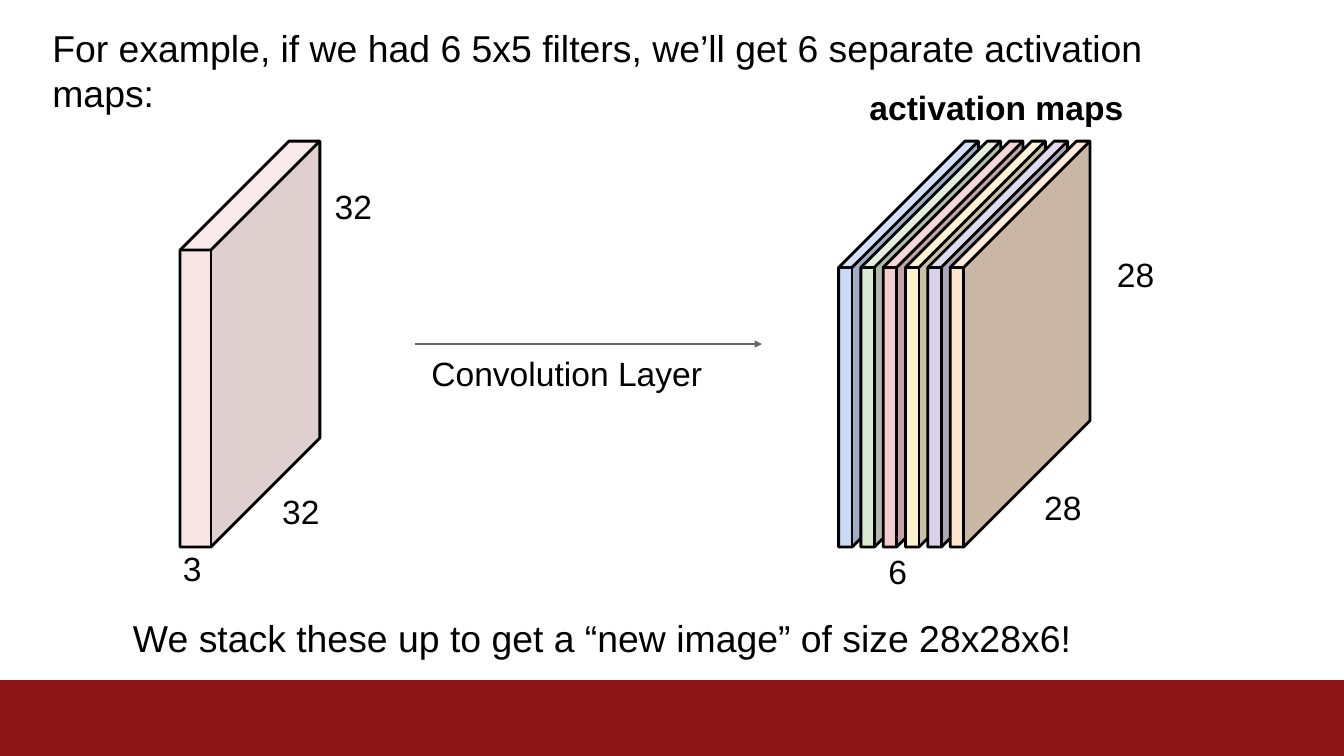
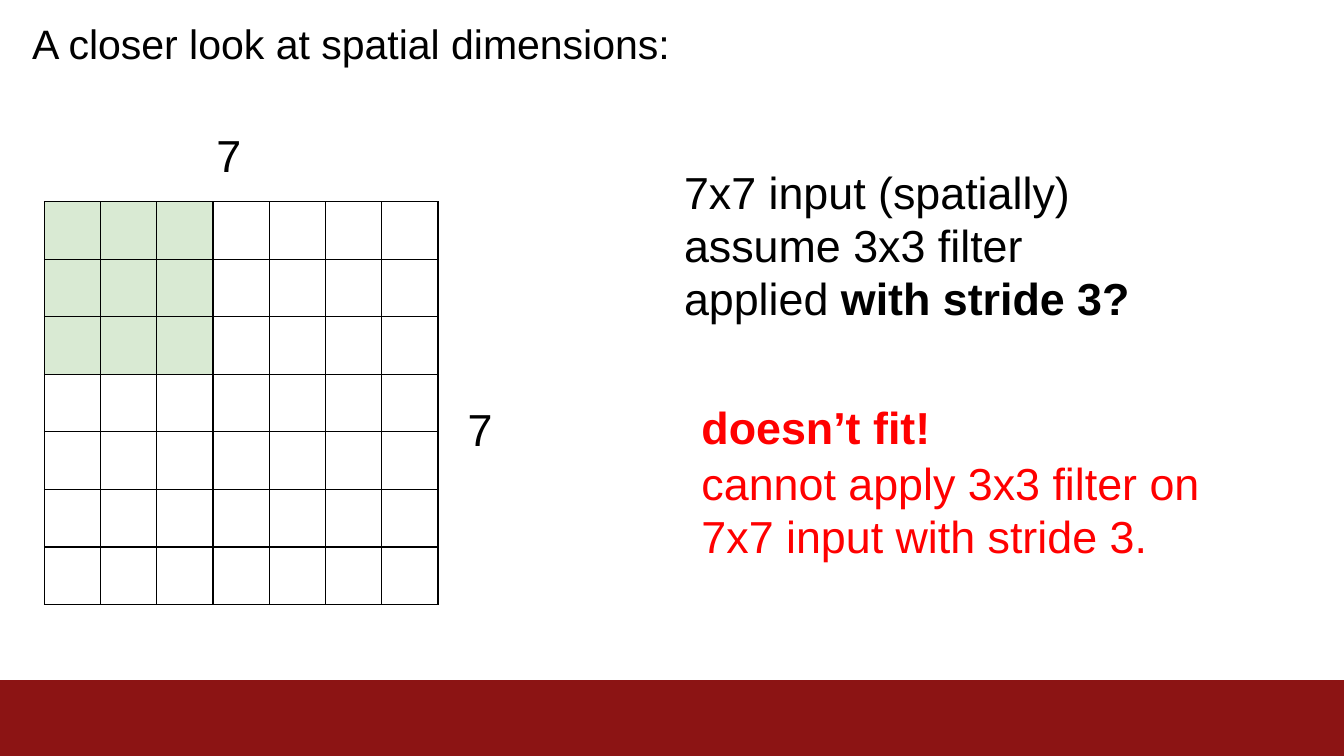
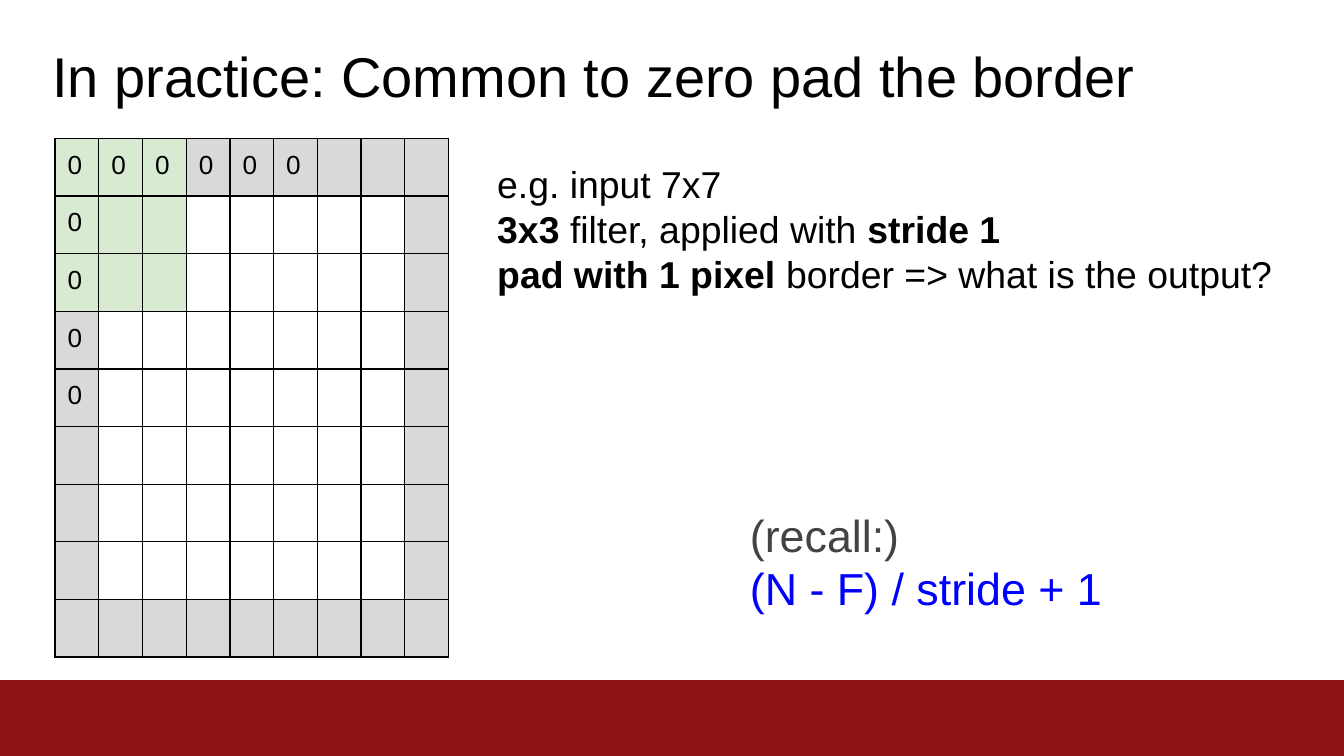
from lxml.etree import SubElement
from pptx import Presentation
from pptx.dml.color import RGBColor
from pptx.enum.shapes import MSO_CONNECTOR, MSO_SHAPE
from pptx.enum.text import PP_ALIGN
from pptx.oxml.ns import qn
from pptx.util import Inches, Pt

HUES = {
    "band": "8C1414", "ink": "000000", "arrow": "666666", "warn": "FF0000",
    "note": "434343", "sum": "0000FF", "scan": "D9EAD3", "pad": "D9D9D9",
    "blue": "C9DAF7", "green": "D9EAD3", "pink": "F4CCCC",
    "gold": "FFF1CC", "mauve": "D9D1E9", "peach": "FCE4CD",
}
FONT = "Arial"
MAPS = ["blue", "green", "pink", "gold", "mauve", "peach"]


def color(name):
    return RGBColor.from_string(HUES[name])


def blend(rgb, goal, part):
    """Move each channel of rgb towards goal by the given part."""
    return RGBColor(*(int(c + (goal - c) * part) for c in rgb))


def write(frame, words, size=18, hue="ink", bold=False, line=None, gap=None,
          align=None):
    """Fill a frame, one paragraph a line; ** switches bold, hue may be a list."""
    lines = words.split("\n")
    hues = hue if isinstance(hue, list) else [hue] * len(lines)
    for i, (row, tint) in enumerate(zip(lines, hues)):
        para = frame.add_paragraph() if i else frame.paragraphs[0]
        para.alignment = align
        if line:
            para.line_spacing = Pt(line)
        if gap and i:
            para.space_before = Pt(gap)
        for j, part in enumerate(row.split("**")):
            if part:
                run = para.add_run()
                run.text = part
                font = run.font
                font.name, font.size = FONT, Pt(size)
                font.bold = bold or j % 2 == 1
                font.color.rgb = color(tint)


def label(slide, x, y, w, h, words, top=0.01, **form):
    box = slide.shapes.add_textbox(Inches(x), Inches(y), Inches(w), Inches(h))
    frame = box.text_frame
    frame.word_wrap = True
    frame.margin_left, frame.margin_top = Inches(0.01), Inches(top)
    frame.margin_right = frame.margin_bottom = 0
    write(frame, words, **form)


def start(deck):
    """Add a blank slide with the band at its foot."""
    slide = deck.slides.add_slide(deck.slide_layouts[6])
    top = Inches(5.06)
    band = slide.shapes.add_shape(MSO_SHAPE.RECTANGLE, 0, top,
                                  deck.slide_width, deck.slide_height - top)
    band.shadow.inherit = False
    band.fill.solid()
    band.fill.fore_color.rgb = color("band")
    band.line.fill.background()
    return slide


def trace(shapes, *runs, fill=None, alpha=None):
    """Draw runs of points as one shape: filled, or else outlined."""
    first, *rest = [[(Inches(x), Inches(y)) for x, y in run] for run in runs]
    pen = shapes.build_freeform(*first[0])
    pen.add_line_segments(first[1:], close=True)
    for run in rest:
        pen.move_to(*run[0])
        pen.add_line_segments(run[1:], close=False)
    shape = pen.convert_to_shape()
    shape.shadow.inherit = False
    if fill is None:
        shape.fill.background()
        shape.line.color.rgb = color("ink")
        shape.line.width = Pt(1.5)
        return
    shape.fill.solid()
    shape.fill.fore_color.rgb = fill
    shape.line.fill.background()
    if alpha:
        tint = shape._element.spPr.find(qn("a:solidFill"))[0]
        SubElement(tint, qn("a:alpha")).set("val", str(alpha * 1000))


def slab(slide, x, y, w, h, thick, hue, alpha=None):
    """Draw a block seen from its left, its depth running up at 45 degrees."""
    shapes = slide.shapes.add_group_shape().shapes
    deep, end, foot = w - thick, x + w, y + h
    a, b = (x, y + deep), (x + thick, y + deep)
    c, d = (x + deep, y), (end, y)
    e, f, g = (end, foot - deep), (x + thick, foot), (x, foot)
    face = color(hue)
    trace(shapes, [a, b, f, g], fill=face, alpha=alpha)
    trace(shapes, [b, d, e, f], fill=blend(face, 0, 0.2), alpha=alpha)
    trace(shapes, [a, c, d, b], fill=blend(face, 255, 0.2), alpha=alpha)
    trace(shapes, [a, c, d, e, f, g], [a, b, d], [b, f])


def arrow(slide, x, y, w):
    link = slide.shapes.add_connector(MSO_CONNECTOR.STRAIGHT, Inches(x),
                                      Inches(y), Inches(x + w), Inches(y))
    link.line.color.rgb = color("arrow")
    link.line.width = Pt(0.75)
    props = link._element.spPr
    SubElement(props.find(qn("a:ln")), qn("a:tailEnd"),
               type="triangle", w="sm", len="sm")
    SubElement(props, qn("a:effectLst"))


def edge(cell):
    """Give a cell thin dark borders, which come before its fill."""
    props = cell._tc.get_or_add_tcPr()
    for i, side in enumerate(("lnL", "lnR", "lnT", "lnB")):
        line = SubElement(props, qn("a:" + side), w=str(Pt(0.75)))
        fill = SubElement(line, qn("a:solidFill"))
        SubElement(fill, qn("a:srgbClr"), val=HUES["ink"])
        props.insert(i, line)


def grid(slide, x, y, w, h, count, pad=False):
    """Draw a square grid with a 3x3 filter, and a padded rim if asked."""
    table = slide.shapes.add_table(count, count, Inches(x), Inches(y),
                                   Inches(w), Inches(h)).table
    table.first_row = table.horz_banding = False
    for col, row in zip(table.columns, table.rows):
        col.width, row.height = Inches(w / count), Inches(h / count)
    for r in range(count):
        for c in range(count):
            cell = table.cell(r, c)
            cell.margin_left = cell.margin_bottom = 0
            cell.margin_top, cell.margin_right = Inches(0.09), Inches(0.03)
            rim = pad and (min(r, c) == 0 or max(r, c) == count - 1)
            hue = "scan" if max(r, c) < 3 else "pad" if rim else None
            if hue:
                cell.fill.solid()
                cell.fill.fore_color.rgb = color(hue)
            else:
                cell.fill.background()
            edge(cell)
            # Zeros run along the start of the top row and left column
            if pad and (r == 0 and c < 6 or c == 0 and r < 5):
                write(cell.text_frame, "0", size=14, align=PP_ALIGN.CENTER)
            else:
                cell.text_frame.paragraphs[0].font.size = Pt(14)


def maps(deck):
    slide = start(deck)
    label(slide, 0.38, 0.17, 8.96, 0.7, "For example, if we had 6 5x5 filters, "
          "we’ll get 6 separate activation maps:", top=0.02, size=20)
    # Input volume
    slab(slide, 1.34, 1.05, 1.04, 3.02, 0.23, "pink", alpha=52)
    for x, y, words in [(2.09, 3.64, "32"), (2.48, 1.37, "32"), (1.35, 4.07, "3"),
                        (6.6, 4.09, "6"), (7.76, 3.61, "28"), (8.3, 1.88, "28")]:
        label(slide, x, y, 0.31, 0.33, words)
    # Layer
    arrow(slide, 3.09, 2.56, 2.58)
    label(slide, 3.2, 2.62, 2.1, 0.33, "Convolution Layer")
    # Stack of maps
    label(slide, 6.46, 0.64, 2, 0.33, "activation maps", bold=True)
    for i, hue in enumerate(MAPS):
        slab(slide, 6.24 + i * 0.83 / 5, 1.05, 1.04, 3.02, 0.1, hue)
    label(slide, 0.98, 4.56, 7.1, 0.36, "We stack these up to get a “new image” "
          "of size 28x28x6!", top=0.02, size=20)


def stride(deck):
    slide = start(deck)
    label(slide, 0.23, 0.13, 4.9, 0.39,
          "A closer look at spatial dimensions:", size=22)
    # Input grid with its sides
    grid(slide, 0.33, 1.5, 2.93, 3, 7)
    label(slide, 1.6, 0.94, 0.21, 0.43, "7", size=24)
    label(slide, 3.47, 2.98, 0.21, 0.43, "7", size=24)
    # Question and answer
    label(slide, 5.08, 1.2, 3.4, 1.22, "7x7 input (spatially) assume 3x3 filter "
          "applied **with stride 3?**", top=0.03, size=24, line=28.5)
    label(slide, 5.21, 2.96, 3.8, 1.22, "**doesn’t fit!**\ncannot apply 3x3 "
          "filter on 7x7 input with stride 3.", top=0.02, size=24, line=28.6,
          gap=1.1, hue=["warn", "warn"])


def border(deck):
    slide = start(deck)
    label(slide, 0.38, 0.3, 9.3, 0.6,
          "In practice: Common to zero pad the border", size=30)
    grid(slide, 0.41, 1.03, 2.93, 3.86, 9, pad=True)
    # Question and the rule to recall
    label(slide, 3.69, 1.19, 5.9, 1.03, "e.g. input 7x7\n"
          "**3x3** filter, applied with **stride 1**\n"
          "**pad with 1 pixel** border => what is the output?", size=20)
    label(slide, 5.57, 3.76, 2.7, 0.82, "(recall:)\n(N - F) / stride + 1",
          top=0.02, size=24, line=28.6, hue=["note", "sum"])


def main():
    deck = Presentation()
    deck.slide_width = Inches(10)
    deck.slide_height = deck.slide_width * 9 // 16
    for build in (maps, stride, border):
        build(deck)
    deck.save("out.pptx")


if __name__ == "__main__":
    main()
